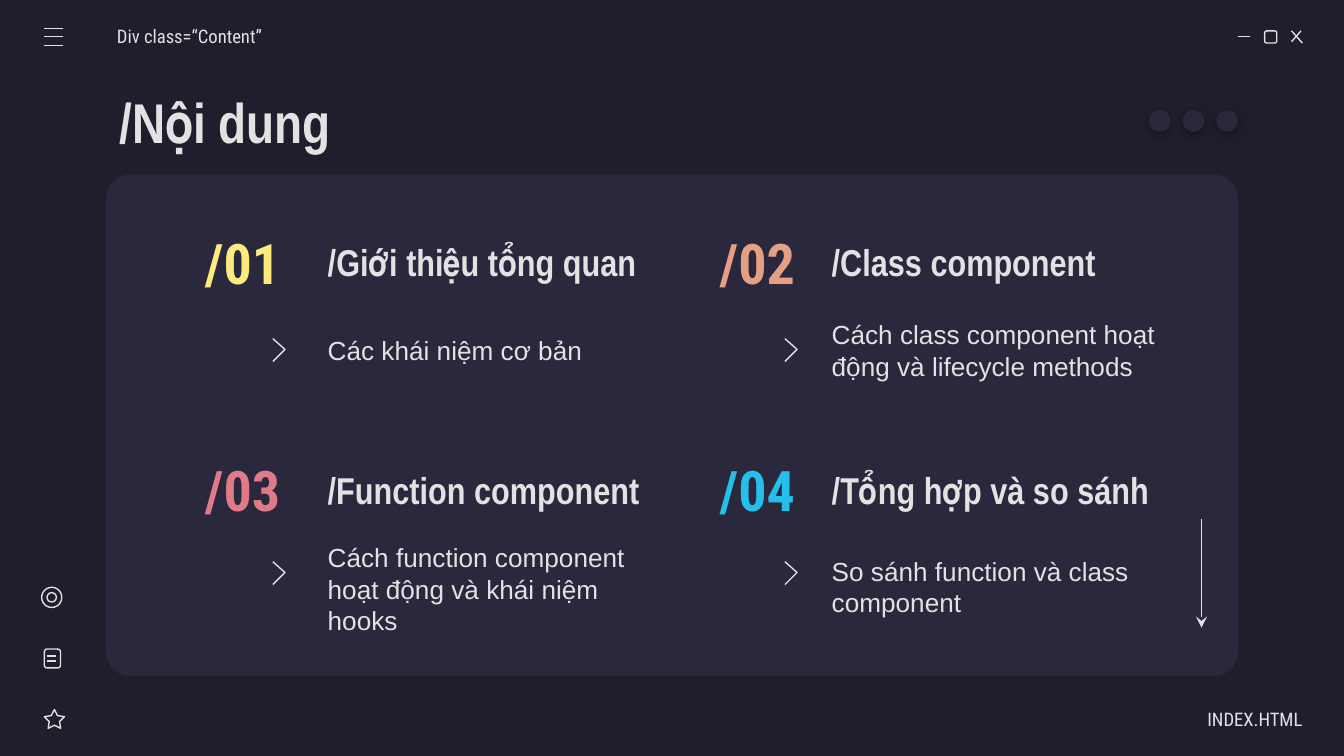
from lxml.etree import SubElement
from pptx import Presentation
from pptx.dml.color import RGBColor
from pptx.enum.shapes import MSO_CONNECTOR, MSO_SHAPE as Preset
from pptx.enum.text import MSO_ANCHOR, PP_ALIGN as Align
from pptx.oxml.ns import qn
from pptx.util import Inches, Pt

BACKGROUND = "1E1E2C"
PANEL = "29283D"
LIGHT = "E2E2E2"
HEADING_FONT = "Arial Narrow"
CODE_FONT = "Roboto Condensed"

TOPICS = [
    ("/01", "FFEA7D", "/Giới thiệu tổng quan", "Các khái niệm cơ bản",
     2.72, 2.56, 0.75),
    ("/02", "E5A083", "/Class component",
     "Cách class component hoạt động và lifecycle methods", 2.56, 2.96, 0.75),
    ("/03", "E07A88", "/Function component",
     "Cách function component hoạt động và khái niệm hooks", 2.56, 2.76, 0.92),
    ("/04", "24BFEB", "/Tổng hợp và so sánh",
     "So sánh function và class component", 2.71, 2.56, 0.89),
]
COLUMNS = [(1.35, 2.03, 2.34), (5.18, 5.84, 6.09)]
ROWS = [(1.67, 2.52), (3.36, 4.18)]


def rgb(color):
    return RGBColor.from_string(color)


def outline(element):
    element.line.color.rgb = rgb(LIGHT)
    element.line.width = Pt(0.75)


def add_preset(slide, kind, left, top, width, height, fill=None):
    shape = slide.shapes.add_shape(
        kind, Inches(left), Inches(top), Inches(width), Inches(height))
    shape.shadow.inherit = False
    if fill:
        shape.fill.solid()
        shape.fill.fore_color.rgb = rgb(fill)
        shape.line.fill.background()
    else:
        shape.fill.background()
        outline(shape)
    return shape


def add_line(slide, x1, y1, x2, y2, arrow=False):
    line = slide.shapes.add_connector(
        MSO_CONNECTOR.STRAIGHT, Inches(x1), Inches(y1), Inches(x2), Inches(y2))
    outline(line)
    if arrow:
        SubElement(line.line._get_or_add_ln(), qn("a:tailEnd"), type="stealth")
    SubElement(line._element.spPr, qn("a:effectLst"))


def add_chevron(slide, left, top):
    builder = slide.shapes.build_freeform(Inches(left), Inches(top))
    builder.add_line_segments(
        [(Inches(left + 0.09), Inches(top + 0.08)),
         (Inches(left), Inches(top + 0.17))], close=False)
    chevron = builder.convert_to_shape()
    chevron.shadow.inherit = False
    chevron.fill.background()
    outline(chevron)


def add_text(slide, text, left, top, width, height, size, font, color=LIGHT,
             bold=False, align=Align.LEFT, inset_left=0.1, inset_right=0.1):
    box = slide.shapes.add_textbox(
        Inches(left), Inches(top), Inches(width), Inches(height))
    frame = box.text_frame
    frame.word_wrap = True
    frame.vertical_anchor = MSO_ANCHOR.MIDDLE
    frame.margin_left, frame.margin_right = Inches(inset_left), Inches(inset_right)
    frame.margin_top = frame.margin_bottom = Inches(0.1)
    frame.text = text
    paragraph = frame.paragraphs[0]
    paragraph.alignment = align
    style = paragraph.runs[0].font
    style.name, style.size, style.bold = font, Pt(size), bold
    style.color.rgb = rgb(color)


def add_dot(slide, left):
    dot = add_preset(slide, Preset.OVAL, left, 0.82, 0.16, 0.16, PANEL)
    effects = dot._element.spPr.find(qn("a:effectLst"))
    shadow = SubElement(
        effects, qn("a:outerShdw"), blurRad=str(Pt(4.5)), dist=str(Pt(1.5)),
        dir="5400000", algn="bl", rotWithShape="0")
    tint = SubElement(shadow, qn("a:srgbClr"), val="000000")
    SubElement(tint, qn("a:alpha"), val="30000")


def add_window_controls(slide):
    add_line(slide, 9.21, 0.27, 9.3, 0.27)
    add_preset(slide, Preset.ROUNDED_RECTANGLE, 9.41, 0.23, 0.09, 0.09)
    add_line(slide, 9.61, 0.23, 9.69, 0.32)
    add_line(slide, 9.68, 0.23, 9.61, 0.31)


def add_side_icons(slide):
    for y in (0.21, 0.27, 0.34):
        add_line(slide, 0.33, y, 0.47, y)
    star = add_preset(slide, Preset.STAR_5_POINT, 0.33, 5.28, 0.15, 0.14)
    star.adjustments[0] = 0.254
    add_preset(slide, Preset.ROUNDED_RECTANGLE, 0.33, 4.83, 0.12, 0.14)
    for y in (4.88, 4.92):
        add_line(slide, 0.35, y, 0.42, y)
    add_preset(slide, Preset.OVAL, 0.31, 4.37, 0.15, 0.15)
    add_preset(slide, Preset.OVAL, 0.35, 4.41, 0.07, 0.07)


def add_topic(slide, index, topic):
    number, color, heading, summary, heading_width, summary_width, summary_height = topic
    row, column = divmod(index, 2)
    number_left, chevron_left, text_left = COLUMNS[column]
    top, chevron_top = ROWS[row]
    add_text(slide, number, number_left, top, 0.91, 0.56, 30, CODE_FONT,
             color, bold=True, align=Align.CENTER)
    add_text(slide, heading, text_left, top, heading_width, 0.56, 20,
             HEADING_FONT, bold=True)
    add_text(slide, summary, text_left, top + 0.56, summary_width, summary_height,
             14, "Arial")
    add_chevron(slide, chevron_left, chevron_top)


def main():
    deck = Presentation()
    deck.slide_width = Inches(10)
    deck.slide_height = deck.slide_width * 9 // 16
    slide = deck.slides.add_slide(deck.slide_layouts[6])
    slide.background.fill.solid()
    slide.background.fill.fore_color.rgb = rgb(BACKGROUND)

    panel = add_preset(slide, Preset.ROUNDED_RECTANGLE, 0.79, 1.3, 8.42, 3.73, PANEL)
    panel.adjustments[0] = 0.047
    add_window_controls(slide)
    add_side_icons(slide)
    add_text(slide, "Div class=“Content”", 0.87, 0.12, 1.62, 0.3, 10, CODE_FONT,
             inset_left=0)
    add_text(slide, "/Nội dung", 0.79, 0.59, 8.43, 0.63, 30, HEADING_FONT, bold=True)
    for left in (8.55, 8.8, 9.05):
        add_dot(slide, left)
    for index, topic in enumerate(TOPICS):
        add_topic(slide, index, topic)
    add_line(slide, 8.94, 3.86, 8.94, 4.67, arrow=True)
    add_text(slide, "INDEX.HTML", 8.52, 5.2, 1.17, 0.3, 10, CODE_FONT,
             align=Align.RIGHT, inset_right=0)
    deck.save("out.pptx")


if __name__ == "__main__":
    main()
